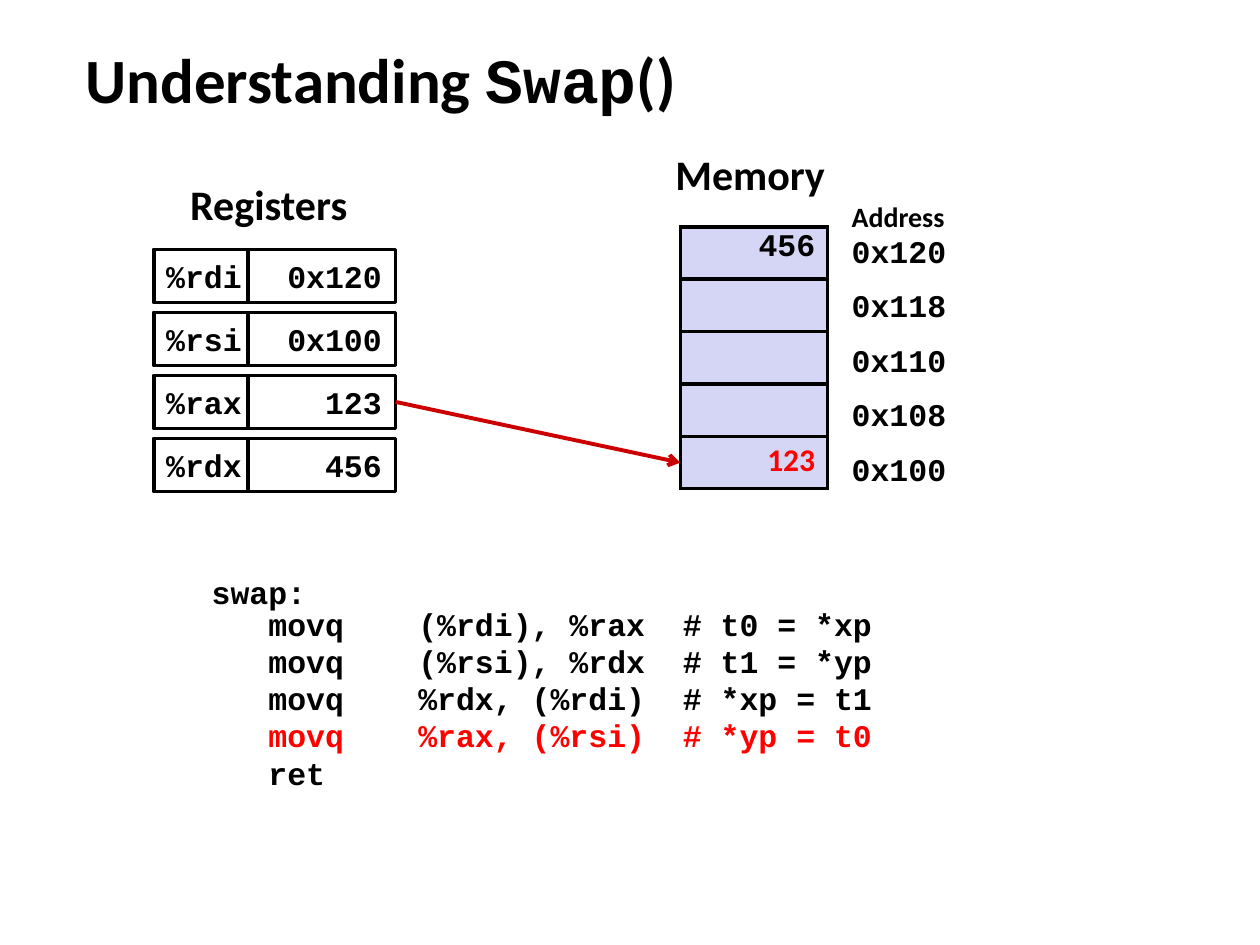
from pptx import Presentation
from pptx.dml.color import RGBColor
from pptx.enum.shapes import MSO_CONNECTOR, MSO_SHAPE
from pptx.enum.text import MSO_ANCHOR, PP_ALIGN
from pptx.oxml.ns import qn
from pptx.util import Inches, Pt
from lxml import etree

LEFT, RIGHT = PP_ALIGN.LEFT, PP_ALIGN.RIGHT
MIDDLE = MSO_ANCHOR.MIDDLE
RECT = MSO_SHAPE.RECTANGLE
LINE = MSO_CONNECTOR.STRAIGHT
SANS, MONO = "Calibri", "Courier New"
HEX = {"ink": "000000", "cell": "D5D5F5", "hot": "FF0000", "arrow": "CC0000"}
REGS = [("%rdi", "0x120"), ("%rsi", "0x100"), ("%rax", "123"), ("%rdx", "456")]
CELLS = ["456", "", "", "", "123"]
SPOTS = ["0x120", "0x118", "0x110", "0x108", "0x100"]
CODE = [
    ("movq", "(%rdi), %rax", "#", "t0 = *xp"),
    ("movq", "(%rsi), %rdx", "#", "t1 = *yp"),
    ("movq", "%rdx, (%rdi)", "#", "*xp = t1"),
    ("movq", "%rax, (%rsi)", "#", "*yp = t0"),
    ("ret", "", "", ""),
]


def tint(name):
    return RGBColor.from_string(HEX[name])


def style(para, size=18, face=MONO, color="ink"):
    for run in para.runs:
        run.font.size = Pt(size)
        run.font.name = face
        run.font.bold = True
        run.font.color.rgb = tint(color)


def inset(part, left=0, top=0, right=0):
    part.margin_left, part.margin_top = Inches(left), Inches(top)
    part.margin_right, part.margin_bottom = Inches(right), 0


def label(slide, box, text, size=18, face=MONO, top=0.04):
    frame = slide.shapes.add_textbox(*map(Inches, box)).text_frame
    frame.word_wrap = True
    inset(frame, 0.01, top)
    frame.text = text
    for para in frame.paragraphs:
        style(para, size, face)
    return frame


def edge(cell, color=None, width=2.25):
    props = cell._tc.get_or_add_tcPr()
    for spot, side in enumerate(("lnL", "lnR", "lnT", "lnB")):
        line = etree.Element(qn("a:" + side), w=str(Pt(width)))
        if color:
            fill = etree.SubElement(line, qn("a:solidFill"))
            etree.SubElement(fill, qn("a:srgbClr"), val=HEX[color])
        else:
            etree.SubElement(line, qn("a:noFill"))
        props.insert(spot, line)


def grid(slide, box, rows, cols):
    table = slide.shapes.add_table(rows, len(cols), *map(Inches, box)).table
    table.first_row = table.horz_banding = False
    for col, wide in zip(table.columns, cols):
        col.width = Inches(wide)
    for row in table.rows:
        row.height = Inches(box[3] / rows)
    return table


def title(slide, box):
    para = label(slide, box, "Understanding ", 36, SANS).paragraphs[0]
    for text in ("Swap", "()"):
        para.add_run().text = text
    style(para, 36, SANS)
    para.runs[1].font.name = MONO


def field(slide, box, text, align):
    rect = slide.shapes.add_shape(RECT, *map(Inches, box))
    rect.shadow.inherit = False
    rect.fill.background()
    rect.line.color.rgb = tint("ink")
    rect.line.width = Pt(2.04)
    frame = rect.text_frame
    frame.word_wrap = False
    frame.vertical_anchor = MIDDLE
    inset(frame, 0.1, 0, 0.11)
    frame.text = text
    frame.paragraphs[0].alignment = align
    style(frame.paragraphs[0])
    return rect


def registers(slide, box):
    x, y, w, h = box
    label(slide, (x + 0.28, y - 0.6, 1.4, 0.43), "Registers", 24, SANS)
    step, split = h / len(REGS), 0.75
    tall = step - 0.08
    found = {}
    for row, (name, value) in enumerate(REGS):
        top = y + row * step
        field(slide, (x, top, split, tall), name, LEFT)
        found[name] = field(slide, (x + split, top, w - split, tall), value, RIGHT)
    return found


def memory(slide, box):
    x, y, w, h = box
    label(slide, (x - 0.05, y - 0.66, 1.4, 0.43), "Memory", 24, SANS)
    table = grid(slide, box, len(CELLS), [w])
    for row, value in enumerate(CELLS):
        cell = table.cell(row, 0)
        cell.fill.solid()
        cell.fill.fore_color.rgb = tint("cell")
        edge(cell, "ink")
        hot = row == len(CELLS) - 1
        inset(cell, 0, 0.04 if hot else 0.03, 0.1)
        cell.text = value
        para = cell.text_frame.paragraphs[0]
        para.alignment = RIGHT
        style(para, 18, SANS if hot else MONO, "hot" if hot else "ink")
    spots = (x + w + 0.18, y - 0.23, 0.9, h + 0.23)
    head, first, *rest = label(
        slide, spots, "\n".join(["Address"] + SPOTS), top=0.02).paragraphs
    style(head, 16, SANS)
    head.line_spacing, first.line_spacing = Pt(18.6), Pt(21)
    for para in rest:
        para.line_spacing, para.space_before = Pt(21), Pt(10.1)


def arrow(slide, start, x, y):
    line = slide.shapes.add_connector(LINE, 0, 0, Inches(x), Inches(y))
    line.begin_connect(start, 3)
    line.line.color.rgb = tint("arrow")
    line.line.width = Pt(2.25)
    etree.SubElement(line.line._get_or_add_ln(), qn("a:tailEnd"), type="arrow")
    etree.SubElement(line._element.spPr, qn("a:effectLst"))


def code(slide, box):
    x, y, w, h = box
    label(slide, (x - 0.43, y - 0.35, 0.9, 0.33), "swap:")
    table = grid(slide, box, len(CODE), [0.93, 2.24, 0.37, w - 3.54])
    gaps = [0, 0.15, 0.07, 0.03]
    for row, parts in enumerate(CODE):
        for col, text in enumerate(parts):
            cell = table.cell(row, col)
            cell.fill.background()
            edge(cell)
            inset(cell, 0 if col else 0.03, 0, gaps[col])
            cell.text = text
            para = cell.text_frame.paragraphs[0]
            para.alignment = RIGHT if col else LEFT
            para.line_spacing = Pt(19)
            style(para, color="hot" if row == 3 else "ink")


def main():
    deck = Presentation()
    deck.slide_width, deck.slide_height = Inches(10), Inches(7.5)
    slide = deck.slides.add_slide(deck.slide_layouts[6])
    title(slide, (0.67, 0.28, 6, 0.63))
    regs = registers(slide, (1.22, 1.98, 1.92, 2))
    x, y, w, h = store = (5.4, 1.8, 1.17, 2.08)
    memory(slide, store)
    arrow(slide, regs["%rax"], x, y + h * (1 - 0.5 / len(CELLS)))
    code(slide, (2.1, 4.86, 4.85, 1.48))
    deck.save("out.pptx")


if __name__ == "__main__":
    main()
